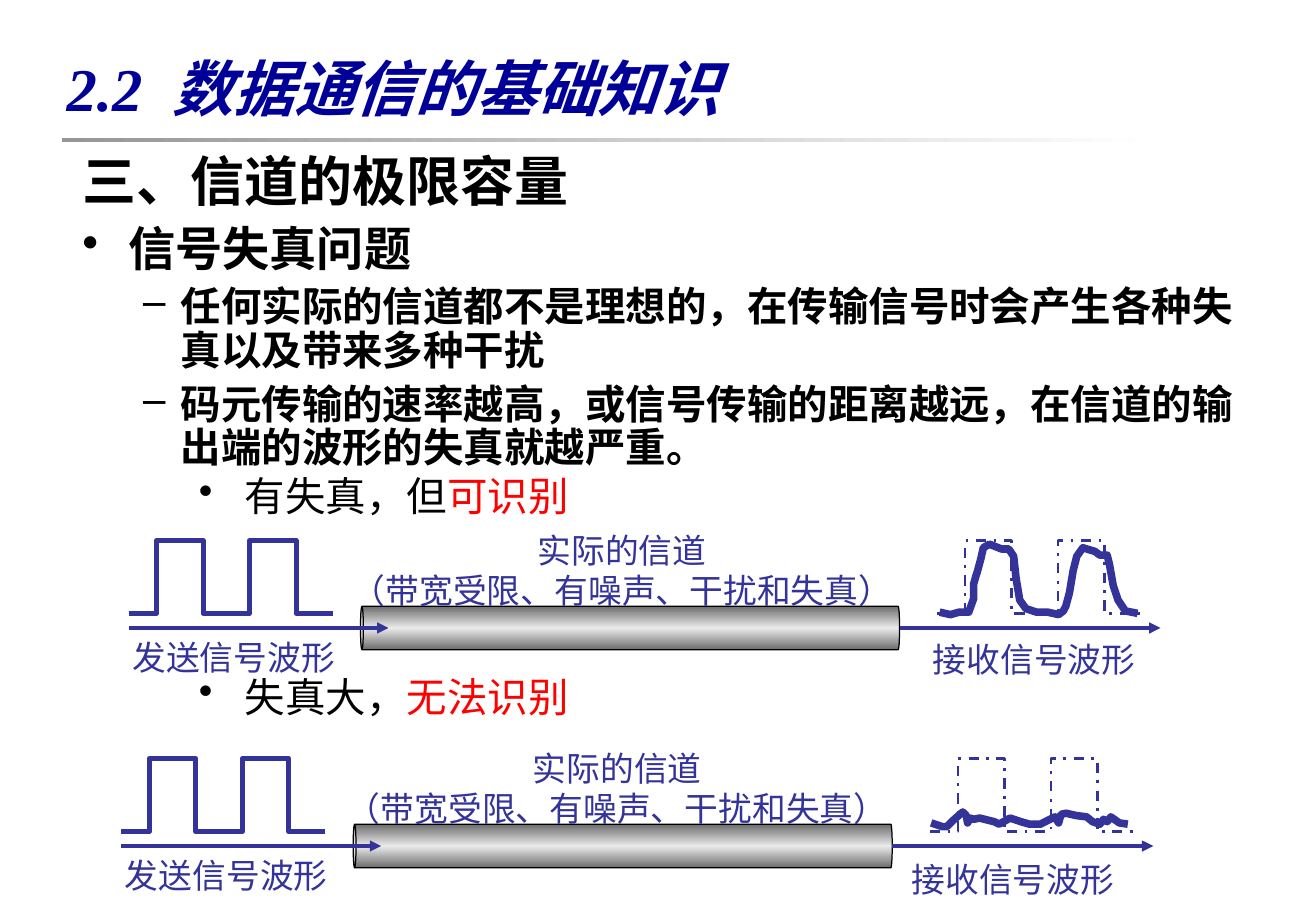
import dataclasses

import lxml.etree
import pptx
import pptx.dml.color
import pptx.enum.dml
import pptx.enum.shapes
import pptx.enum.text
import pptx.oxml.ns
import pptx.util

SHAPE = pptx.enum.shapes.MSO_SHAPE
ALIGN = pptx.enum.text.PP_ALIGN
ANCHOR = pptx.enum.text.MSO_ANCHOR
COLUMNS, ROWS = 108.4, 75


@dataclasses.dataclass(frozen=True)
class Theme:
    latin: str = "Times New Roman"
    asian: str = "Noto Sans CJK SC"
    title: str = "000099"
    ink: str = "000000"
    alert: str = "FF0000"
    signal: str = "333399"
    rule: tuple = ((0, "969696"), (100, "FFFFFF"))
    pipe: tuple = ((0, "6C6C6C"), (50, "EAEAEA"), (100, "6C6C6C"))
    title_size: int = 36
    heading_size: int = 32
    topic_size: int = 28
    body_size: int = 24
    label_size: int = 20


THEME = Theme()

# Outlines of the received signals, in tenths of a grid cell
READABLE = [
    (2, 59), (11, 61), (18, 59), (26, 59), (30, 48), (30, 36), (32, 29), (33, 26),
    (36, 15), (38, 6), (43, 3), (53, 7), (59, 7), (63, 13), (65, 31), (68, 49),
    (73, 56), (82, 59), (91, 59), (100, 61), (104, 58), (106, 54), (109, 43),
    (112, 25), (115, 13), (120, 6), (130, 9), (134, 12), (140, 12), (142, 20),
    (145, 37), (149, 49), (155, 58), (165, 60)]
UNREADABLE = [
    (1, 53), (10, 56), (14, 56), (19, 51), (27, 44), (30, 47), (31, 53), (33, 49),
    (36, 50), (41, 49), (53, 52), (57, 54), (66, 49), (75, 52), (82, 54), (91, 54),
    (99, 50), (103, 48), (106, 53), (108, 46), (112, 45), (121, 47), (129, 48),
    (134, 52), (140, 54), (143, 50), (146, 52), (149, 48), (156, 53), (163, 54)]


def cells(count):
    """Length of a number of grid cells, each a tenth of an inch."""
    return pptx.util.Inches(count / 10)


def color(value):
    return pptx.dml.color.RGBColor.from_string(value)


def add_xml(parent, tag, **values):
    child = lxml.etree.SubElement(parent, pptx.oxml.ns.qn(tag))
    for name, value in values.items():
        child.set(name, str(value))
    return child


def set_all(target, values):
    for name, value in values.items():
        setattr(target, name, value)


def add_span(para, text, size, ink, spacing=None, **font):
    span = para.add_run()
    span.text = text
    set_all(span.font, {"size": pptx.util.Pt(size), "name": THEME.latin, **font})
    span.font.color.rgb = color(ink)
    properties = span.font._element
    if spacing:
        properties.set("spc", str(spacing * 100))
    add_xml(properties, "a:ea", typeface=THEME.asian)


def add_text(page, place, paras, wrap=True, anchor=ANCHOR.TOP):
    """Each para is (paragraph format, list of span formats)."""
    frame = page.shapes.add_textbox(*map(cells, place)).text_frame
    set_all(frame, {"word_wrap": wrap, "vertical_anchor": anchor})
    for index, (layout, spans) in enumerate(paras):
        para = frame.add_paragraph() if index else frame.paragraphs[0]
        set_all(para, layout)
        for span in spans:
            add_span(para, **span)
    return frame


def set_bullet(para, indent, hanging, symbol=None):
    properties = para._p.get_or_add_pPr()
    properties.set("marL", str(cells(indent)))
    properties.set("indent", str(-cells(hanging)))
    if symbol:
        add_xml(add_xml(properties, "a:buClr"), "a:srgbClr", val=THEME.ink)
        add_xml(properties, "a:buChar", char=symbol)


def add_gradient_shape(page, kind, place, stops, angle):
    shape = page.shapes.add_shape(kind, *map(cells, place))
    shape.shadow.inherit = False
    shape.line.fill.background()
    shape.fill.gradient()
    gradient = shape._element.spPr.find(pptx.oxml.ns.qn("a:gradFill"))
    gradient.set("rotWithShape", "0")
    for child in list(gradient):
        gradient.remove(child)
    stop_list = add_xml(gradient, "a:gsLst")
    for position, value in stops:
        stop = add_xml(stop_list, "a:gs", pos=position * 1000)
        add_xml(stop, "a:srgbClr", val=value)
    add_xml(gradient, "a:lin", ang=angle * 60000, scaled=0)
    return shape


def set_line(line, ink, width, dash=None):
    line.color.rgb = color(ink)
    line.width = pptx.util.Pt(width)
    if dash:
        line.dash_style = dash


def add_wave(page, left, top, points, width, dash=None):
    start, *rest = [(cells(x), cells(y)) for x, y in points]
    builder = page.shapes.build_freeform(*start, scale=1.0)
    builder.add_line_segments(rest, close=False)
    wave = builder.convert_to_shape(cells(left), cells(top))
    wave.shadow.inherit = False
    wave.fill.background()
    set_line(wave.line, THEME.signal, width, dash)


def add_arrow(page, left, right, row):
    arrow = page.shapes.add_connector(
        pptx.enum.shapes.MSO_CONNECTOR.STRAIGHT,
        cells(left), cells(row), cells(right), cells(row))
    set_line(arrow.line, THEME.signal, 2.25)
    add_xml(arrow.line._get_or_add_ln(), "a:tailEnd", type="triangle")
    add_xml(arrow._element.spPr, "a:effectLst")


def add_label(page, place, lines, font):
    paras = [({"alignment": ALIGN.CENTER},
              [{"text": line, "size": THEME.label_size, "ink": THEME.signal, "name": font}])
             for line in lines]
    add_text(page, place, paras, wrap=False)


def square_wave(low=6, pulse=3.83, lead=2.3, end=16.8):
    edges = [lead + pulse * index for index in range(4)]
    levels = [low, 0, low, 0, low]
    points = [(0, low)]
    for index, edge in enumerate(edges):
        points += [(edge, levels[index]), (edge, levels[index + 1])]
    return points + [(end, low)]


def add_channel(page, left, top, received, channel_left, receiver_place):
    """Sent wave, pipe and received wave, with their labels."""
    axis = top + 7.2
    pipe = add_gradient_shape(
        page, SHAPE.CAN, (left + 39.5, axis - 22.2, 3.6, 44.4), THEME.pipe, 90)
    set_all(pipe, {"rotation": 270})
    pipe.adjustments[0] = 0.065
    set_line(pipe.line, THEME.ink, 0.75)

    receiver = left + 66.6
    add_wave(page, left, top, square_wave(), 3)
    add_arrow(page, left, left + 21.4, axis)
    add_wave(page, receiver, top, square_wave(), 1.5, pptx.enum.dml.MSO_LINE.DASH_DOT)
    add_arrow(page, left + 63.5, left + 85, axis)
    add_wave(page, receiver, top, [(x / 10, y / 10) for x, y in received], 4.5)

    add_label(page, (channel_left, top - 1.4, 46.5, 7.7),
              ["实际的信道", "（带宽受限、有噪声、干扰和失真）"], THEME.latin)
    add_label(page, (left - 0.7, top + 7.4, 18.7, 4.4), ["发送信号波形"], THEME.asian)
    add_label(page, receiver_place, ["接收信号波形"], THEME.asian)


def add_title(page):
    add_gradient_shape(page, SHAPE.RECTANGLE, (5.1, 11.4, 90, 0.3), THEME.rule, 0)
    style = {"size": THEME.title_size, "ink": THEME.title, "bold": True, "italic": True}
    spans = [{"text": "2.2", **style}, {"text": " ", "spacing": 9, **style},
             {"text": "数据通信的基础知识", **style}]
    add_text(page, (4.5, 2.8, 98.4, 8.7), [({}, spans)], anchor=ANCHOR.MIDDLE)


def add_body(page):
    detail = (THEME.body_size, 6, (8.1, 3.1, "–"))
    rows = [
        ("三、信道的极限容量", THEME.heading_size, 8, (3.8, 3.8)),
        ("信号失真问题", THEME.topic_size, 7, (3.8, 3.8, "•")),
        ("任何实际的信道都不是理想的，在传输信号时会产生各种失真以及带来多种干扰", *detail),
        ("码元传输的速率越高，或信号传输的距离越远，在信道的输出端的波形的失真就越严重。", *detail)]
    paras = [({"line_spacing": 0.9, "space_before": pptx.util.Pt(before)},
              [{"text": text, "size": size, "ink": THEME.ink, "bold": True}])
             for text, size, before, _ in rows]
    frame = add_text(page, (5.8, 12.3, 98.7, 27.6), paras)
    for para, row in zip(frame.paragraphs, rows):
        set_bullet(para, *row[-1])


def add_cases(page):
    cases = [("有失真，但", "可识别", 0), ("失真大，", "无法识别", 90)]
    paras = [({"line_spacing": 1.0, "space_before": pptx.util.Pt(before)},
              [{"text": text, "size": THEME.body_size, "ink": ink}
               for text, ink in ((lead, THEME.ink), (verdict, THEME.alert))])
             for lead, verdict, before in cases]
    frame = add_text(page, (15.4, 38.3, 85, 24.4), paras)
    for para in frame.paragraphs:
        set_bullet(para, 3.8, 3.8, "•")


def main():
    deck = pptx.Presentation()
    set_all(deck, {"slide_width": cells(COLUMNS), "slide_height": cells(ROWS)})
    page = deck.slides.add_slide(deck.slide_layouts[6])
    add_title(page)
    add_body(page)
    add_cases(page)
    add_channel(page, 10.6, 44.5, READABLE, 28, (74.7, 52.1, 21, 4.4))
    add_channel(page, 10, 62.45, UNREADABLE, 27.6, (73.3, 70.2, 20.3, 4.4))
    deck.save("out.pptx")


if __name__ == "__main__":
    main()
